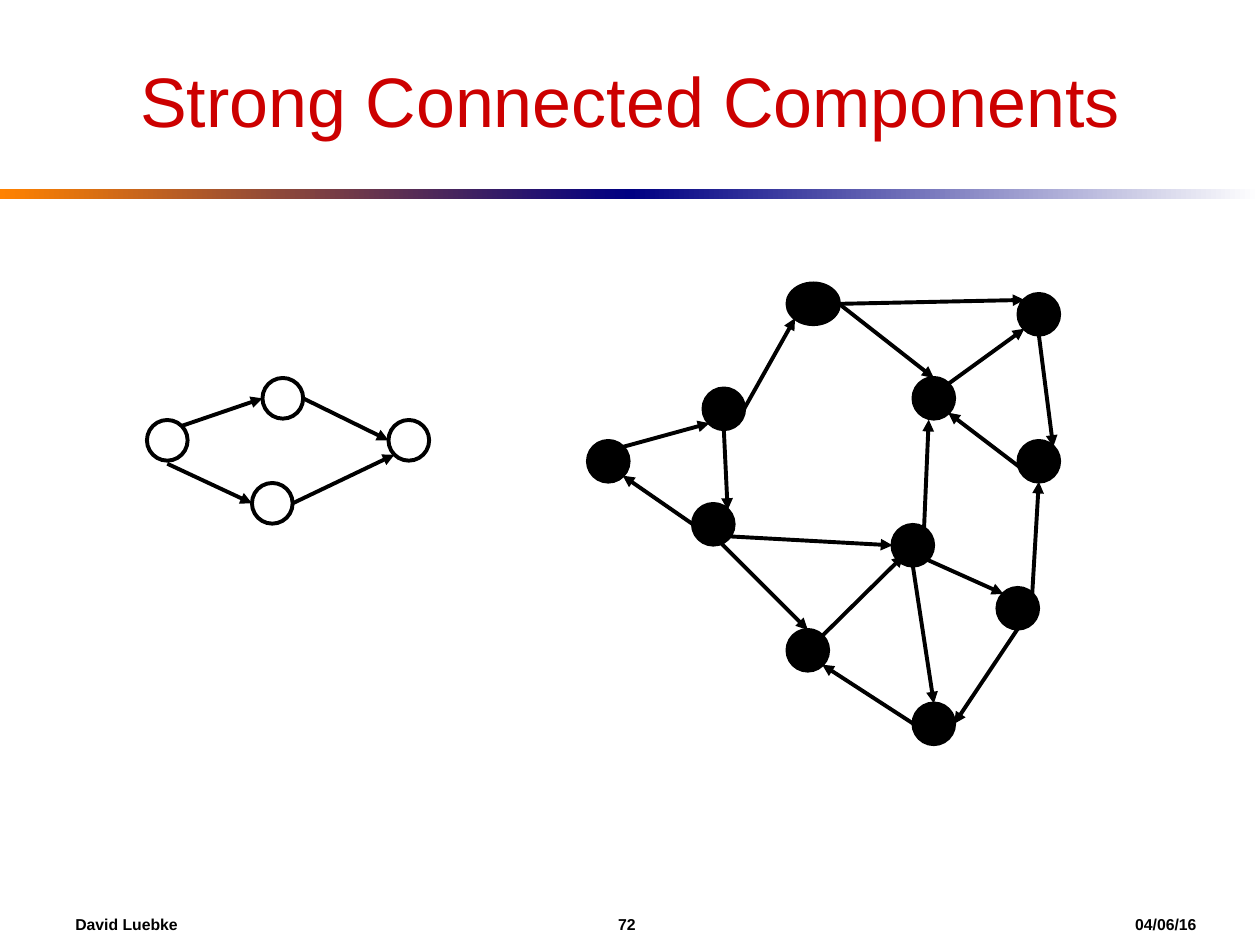
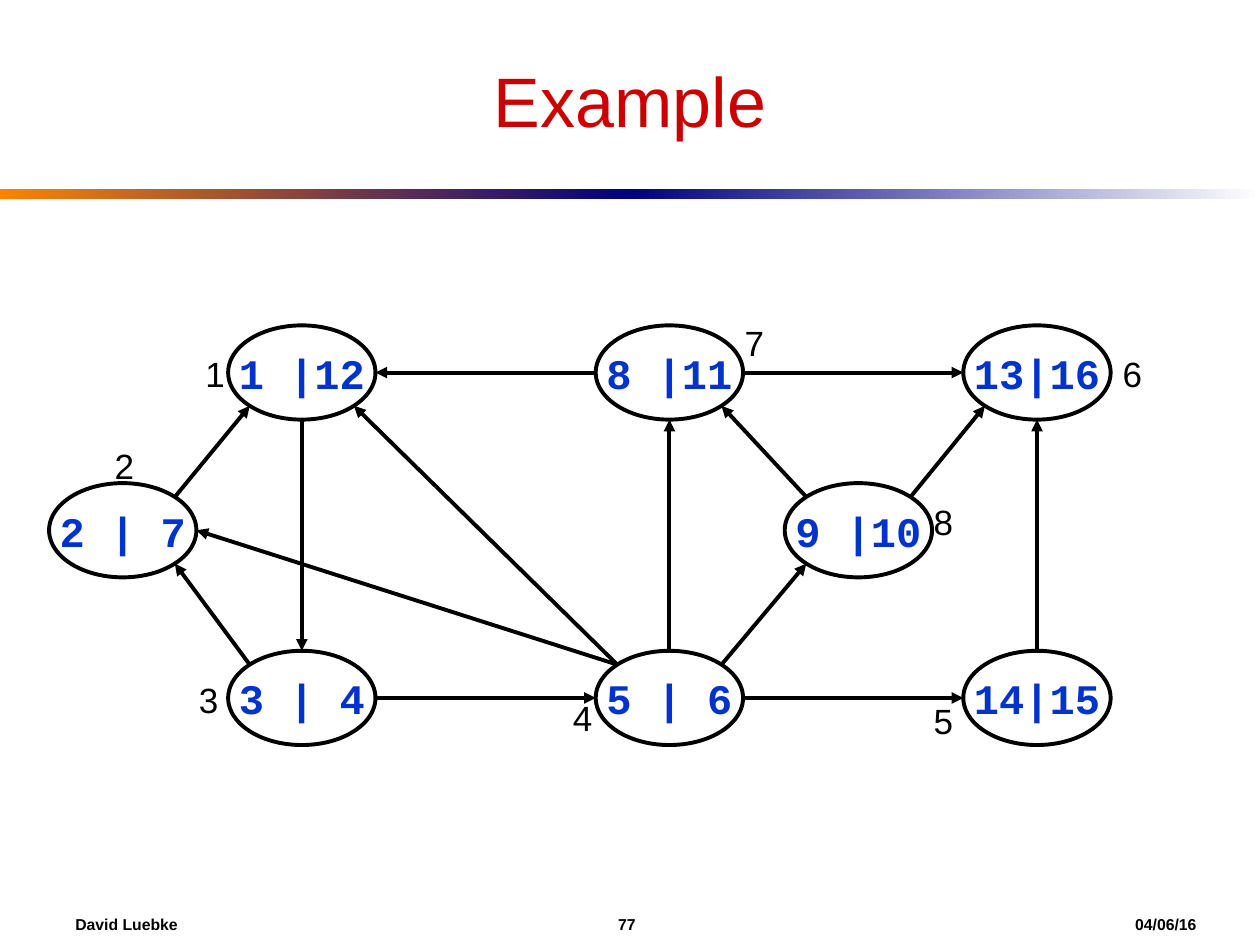
from dataclasses import dataclass
from math import sqrt

from lxml.etree import SubElement
from pptx import Presentation
from pptx.dml.color import RGBColor
from pptx.enum.shapes import MSO_CONNECTOR, MSO_SHAPE
from pptx.enum.text import MSO_ANCHOR, MSO_AUTO_SIZE, PP_ALIGN
from pptx.oxml.ns import qn
from pptx.util import Cm, Pt


@dataclass(frozen=True)
class Theme:
    heading: str = "CC0000"
    ink: str = "000000"
    times: str = "0033CC"
    band_left: str = "FF8200"
    band_middle: str = "000082"
    band_right: str = "FFFFFF"
    sans: str = "Arial"
    mono: str = "Courier New"
    heading_size: int = 40
    times_size: int = 24
    order_size: int = 20
    footer_size: int = 9
    stroke: float = 2.25


THEME = Theme()

# Content: footer
AUTHOR, DATE = "David Luebke", "04/06/16"

# Content: graphs of slide 1, vertices as (column, row) on a fine grid
COMPONENTS_TITLE, COMPONENTS_PAGE = "Strong Connected Components", 72
GRID = 2.54 / 12
VERTEX_SIZE = (0.82, 0.82)
WIDE_VERTEX_SIZE = (1.04, 0.82)
WIDE_VERTEX = "E"

FILLED_VERTICES = {
    "A": (56, 42), "B": (67, 37), "D": (66, 48), "E": (75, 27),
    "F": (97, 42), "G": (87, 36), "H": (97, 28), "I": (95, 56),
    "J": (85, 50), "K": (87, 67), "L": (75, 60),
}
HOLLOW_VERTICES = {"M": (24, 46), "N": (14, 40), "O": (25, 36), "P": (37, 40)}

# Edges: source, its port, target, its port.
# A port is a compass point or an offset from the centre in radii.
INSIDE_D = (0, 0.55)
FILLED_EDGES = [
    ("A", "NE", "B", "SW"), ("B", "S", "D", "NE"), ("D", "W", "A", "SE"),
    ("B", "E", "E", "SW"), ("G", "NE", "H", "SW"), ("H", "S", "F", "NE"),
    ("F", "S", "G", "SE"), ("E", "E", "H", "NW"), ("E", "E", "G", "N"),
    ("I", "NE", "F", "S"), ("J", "SE", "I", "NW"),
    ("J", (0.55, -0.8), "G", (-0.25, 1.05)),
    ("I", "S", "K", "E"), ("J", "S", "K", "N"), ("K", "W", "L", "SE"),
    ("L", "NE", "J", (-0.45, 0.5)),
    ("D", INSIDE_D, "L", "N"), ("D", INSIDE_D, "J", "W"),
]
HOLLOW_EDGES = [
    ("N", "NE", "O", "W"), ("M", "E", "P", "SW"),
    ("N", (0, 1.15), "M", "W"), ("O", "E", "P", "W"),
]

# Content: search example of slide 2
EXAMPLE_TITLE, EXAMPLE_PAGE = "Example", 77
STATE_SIZE = (2.97, 1.9)
COLUMNS = [4.6 + 7.41 * i for i in range(3)]
TOP, MIDDLE, BOTTOM = 6.56, 9.74, 13.12

# Order number: (times, node left, node top, number left, number top)
STATES = {
    "1": ("1 |12", COLUMNS[0], TOP, 3.89, 6.99),
    "2": ("2 | 7", 0.99, MIDDLE, 2.06, 8.84),
    "3": ("3 | 4", COLUMNS[0], BOTTOM, 3.76, 13.55),
    "4": ("5 | 6", COLUMNS[1], BOTTOM, 11.3, 13.92),
    "5": ("14|15", COLUMNS[2], BOTTOM, 18.57, 13.97),
    "6": ("13|16", COLUMNS[2], TOP, 22.38, 6.99),
    "7": ("8 |11", COLUMNS[1], TOP, 14.76, 6.35),
    "8": ("9 |10", 15.82, MIDDLE, 18.57, 9.96),
}
STATE_EDGES = [
    ("2", "NE", "1", "SW"), ("3", "NW", "2", "SE"), ("4", "NW", "2", "E"),
    ("3", "E", "4", "W"), ("1", "S", "3", "N"), ("4", "NW", "1", "SE"),
    ("4", "N", "7", "S"), ("7", "W", "1", "E"), ("7", "E", "6", "W"),
    ("8", "NW", "7", "SE"), ("8", "NE", "6", "SW"), ("5", "N", "6", "S"),
    ("4", "E", "5", "W"), ("4", "NE", "8", "SW"),
]

DIAGONAL = 1 / sqrt(2)
PORTS = {
    "N": (0, -1), "S": (0, 1), "W": (-1, 0), "E": (1, 0),
    "NW": (-DIAGONAL, -DIAGONAL), "NE": (DIAGONAL, -DIAGONAL),
    "SW": (-DIAGONAL, DIAGONAL), "SE": (DIAGONAL, DIAGONAL),
}


# Shared helpers
def rgb(code):
    return RGBColor.from_string(code)


def write(frame, text, size, color, font=THEME.sans, bold=False, align=PP_ALIGN.LEFT):
    frame.text = text
    paragraph = frame.paragraphs[0]
    paragraph.alignment = align
    for run in paragraph.runs:
        run.font.name = font
        run.font.size = Pt(size)
        run.font.bold = bold
        run.font.color.rgb = rgb(color)
    return paragraph


def add_bands(slide):
    """Draw the two-part colour band and move it to the layout."""
    colors = (THEME.band_left, THEME.band_middle, THEME.band_right)
    for i, ends in enumerate(zip(colors, colors[1:])):
        band = slide.shapes.add_shape(
            MSO_SHAPE.RECTANGLE, Cm(12.7 * i), Cm(3.81), Cm(12.7), Cm(0.2))
        band.shadow.inherit = False
        band.line.fill.background()
        band.fill.gradient()
        band.fill.gradient_angle = 0
        for stop, color, position in zip(band.fill.gradient_stops, ends, (0, 1)):
            stop.color.rgb = rgb(color)
            stop.position = position
        slide.slide_layout.shapes.element.append(band.element)


def add_footer(slide, page):
    footer = slide.shapes.add_textbox(Cm(1.27), Cm(18.21), Cm(23.4), Cm(0.84))
    frame = footer.text_frame
    frame.word_wrap = True
    frame.vertical_anchor = MSO_ANCHOR.MIDDLE
    paragraph = write(frame, f"{AUTHOR}\t{page}\t{DATE}",
                      THEME.footer_size, THEME.ink, bold=True)
    stops = SubElement(paragraph._p.get_or_add_pPr(), qn("a:tabLst"))
    for position, align in ((11.12, "ctr"), (22.6, "r")):
        SubElement(stops, qn("a:tab"), pos=str(Cm(position)), algn=align)


def start_slide(deck, title, page):
    slide = deck.slides.add_slide(deck.slide_layouts.get_by_name("Title Only"))
    heading = slide.shapes.title
    heading.left, heading.top = Cm(1.27), Cm(0.64)
    heading.width, heading.height = Cm(22.86), Cm(2.74)
    heading.text_frame.vertical_anchor = MSO_ANCHOR.MIDDLE
    write(heading.text_frame, title, THEME.heading_size, THEME.heading,
          align=PP_ALIGN.CENTER)
    add_footer(slide, page)
    return slide


def add_node(slide, left, top, size, filled=False):
    node = slide.shapes.add_shape(
        MSO_SHAPE.OVAL, Cm(left), Cm(top), Cm(size[0]), Cm(size[1]))
    node.shadow.inherit = False
    node.line.color.rgb = rgb(THEME.ink)
    node.line.width = Pt(THEME.stroke)
    if filled:
        node.fill.solid()
        node.fill.fore_color.rgb = rgb(THEME.ink)
    else:
        node.fill.background()
    return node


def port_point(node, port):
    dx, dy = PORTS.get(port, port)
    return (round(node.left + node.width * (1 + dx) / 2),
            round(node.top + node.height * (1 + dy) / 2))


def add_edges(slide, nodes, edges):
    for source, exit_port, target, entry_port in edges:
        edge = slide.shapes.add_connector(
            MSO_CONNECTOR.STRAIGHT,
            *port_point(nodes[source], exit_port),
            *port_point(nodes[target], entry_port))
        edge.line.color.rgb = rgb(THEME.ink)
        edge.line.width = Pt(THEME.stroke)
        SubElement(edge.line._get_or_add_ln(), qn("a:tailEnd"), type="triangle")
        SubElement(edge._element.spPr, qn("a:effectLst"))


# Slides
def build_components(slide):
    for vertices, edges, filled in (
        (FILLED_VERTICES, FILLED_EDGES, True),
        (HOLLOW_VERTICES, HOLLOW_EDGES, False),
    ):
        nodes = {}
        for name, (column, row) in vertices.items():
            size = WIDE_VERTEX_SIZE if name == WIDE_VERTEX else VERTEX_SIZE
            nodes[name] = add_node(slide, column * GRID, row * GRID, size, filled)
        add_edges(slide, nodes, edges)


def build_example(slide):
    nodes = {}
    for order, (times, left, top, order_left, order_top) in STATES.items():
        node = nodes[order] = add_node(slide, left, top, STATE_SIZE)
        node.text_frame.word_wrap = False
        node.text_frame.vertical_anchor = MSO_ANCHOR.MIDDLE
        write(node.text_frame, times, THEME.times_size, THEME.times,
              font=THEME.mono, bold=True, align=PP_ALIGN.CENTER)
        number = slide.shapes.add_textbox(
            Cm(order_left), Cm(order_top), Cm(0.89), Cm(1.09))
        number.text_frame.word_wrap = False
        number.text_frame.auto_size = MSO_AUTO_SIZE.SHAPE_TO_FIT_TEXT
        write(number.text_frame, order, THEME.order_size, THEME.ink)
    add_edges(slide, nodes, STATE_EDGES)


def main():
    deck = Presentation()
    deck.slide_width, deck.slide_height = Cm(25.4), Cm(19.05)
    components = start_slide(deck, COMPONENTS_TITLE, COMPONENTS_PAGE)
    add_bands(components)
    build_components(components)
    build_example(start_slide(deck, EXAMPLE_TITLE, EXAMPLE_PAGE))
    deck.save("out.pptx")


if __name__ == "__main__":
    main()
